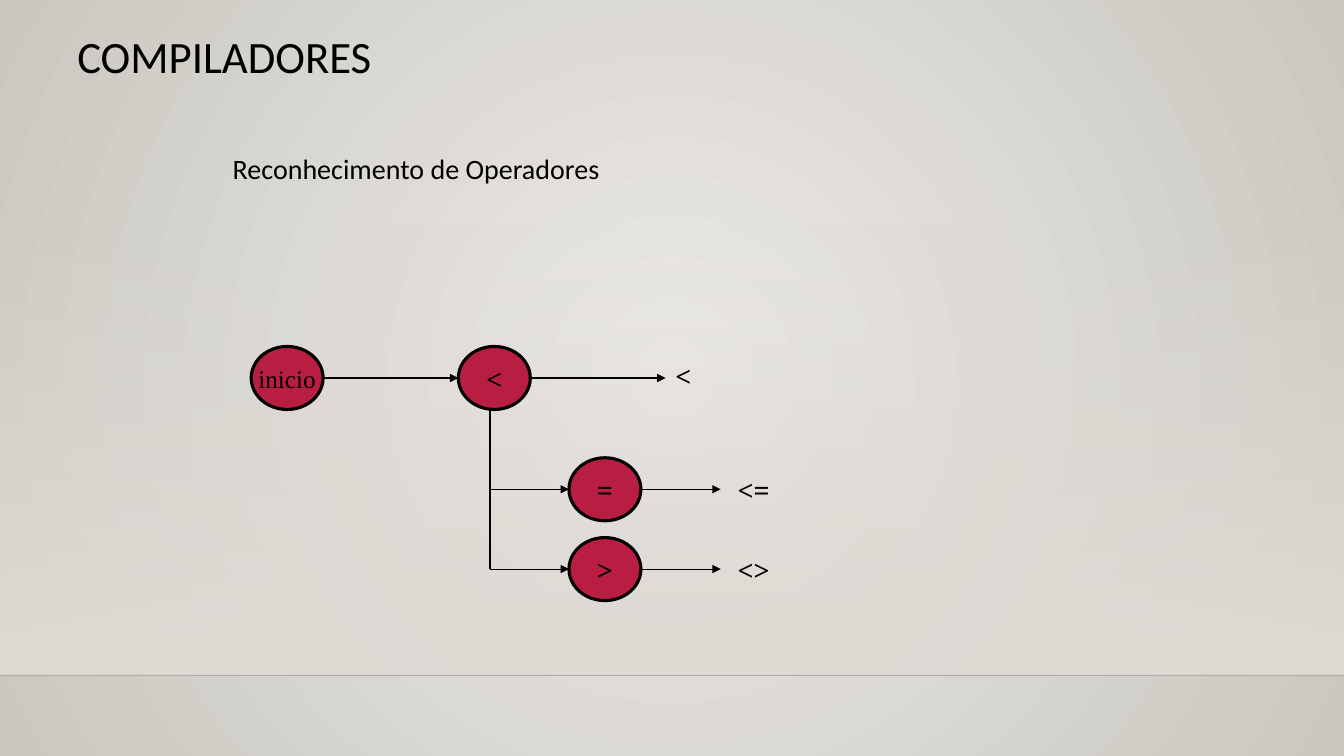
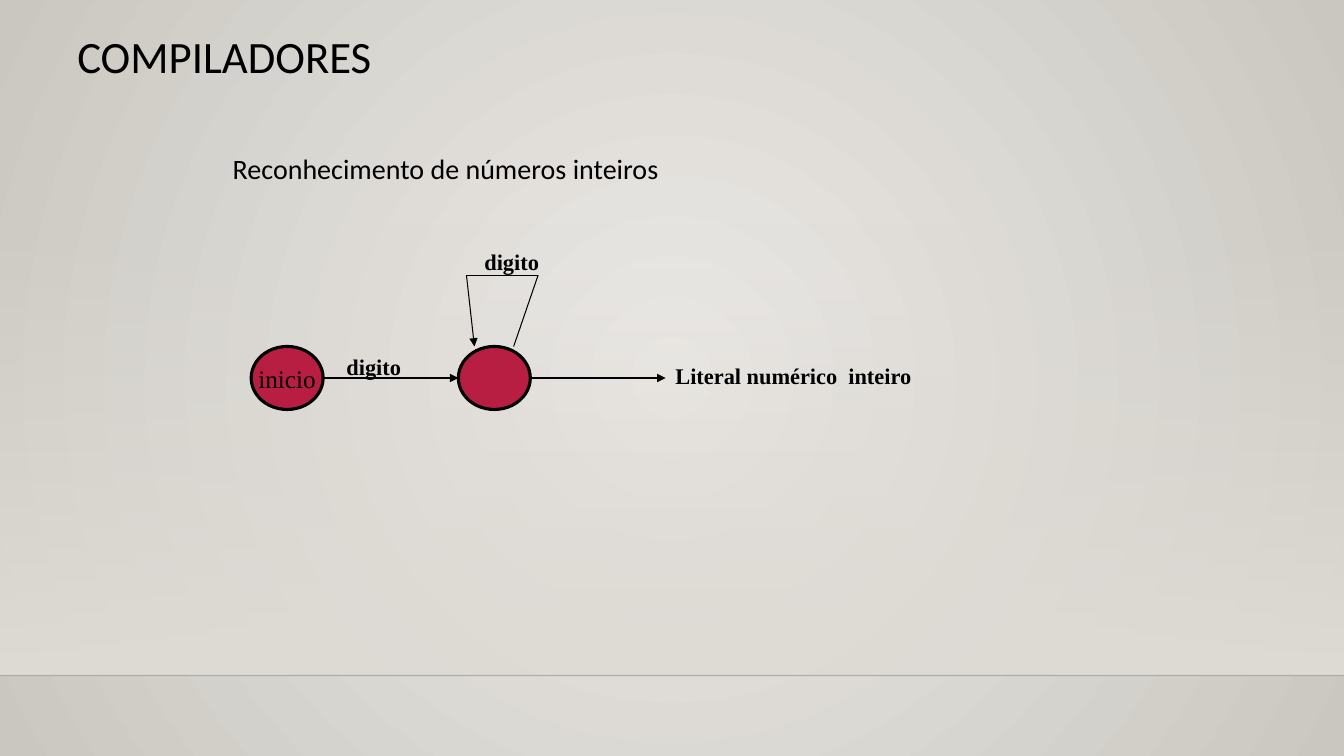
from itertools import pairwise

from lxml import etree
from pptx import Presentation
from pptx.dml.color import RGBColor
from pptx.enum import shapes, text
from pptx.oxml import ns
from pptx.util import Pt

HUE = {
    "ink": "000000",
    "node": "B71E42",
    "core": "ECEAE7",
    "edge": "CAC7C1",
    "band": "DFDBD5",
    "rule": "000001",
}
SANS, SERIF = "Calibri", "Times New Roman"
WIDE, HIGH = 960, 540
FLOOR = 482.5            # lower edge of the band
ORIGIN = (179.4, 247.5)  # corner of each diagram
NODE_W, NODE_H = 51.4, 45
MID = NODE_H / 2
STEP = 148               # from one node to the next
OUT = 2 * STEP           # where the main row's result stands


def rgb(name):
    return RGBColor.from_string(HUE[name])


def sub(node, tag, **attrs):
    return etree.SubElement(node, ns.qn(tag), attrs)


def blend(fill, *names):
    fill.gradient()
    for stop, name, at in zip(fill.gradient_stops, names, (0, 1)):
        stop.color.rgb = rgb(name)
        stop.position = at


def fade(shape, share):
    """Make the first plain colour of the shape see-through."""
    tint = next(shape.element.iter(ns.qn("a:srgbClr")))
    sub(tint, "a:alpha", val=str(share * 1000))


def style(para, size, font, bold=False):
    para.font.size = Pt(size)
    para.font.name = font
    para.font.bold = bold
    para.font.color.rgb = rgb("ink")


def line(slide, start, end, arrow=False, width=0.75, hue="ink"):
    link = slide.shapes.add_connector(
        shapes.MSO_CONNECTOR.STRAIGHT, *(Pt(v) for v in (*start, *end)))
    link.line.width = Pt(width)
    link.line.color.rgb = rgb(hue)
    if arrow:
        sub(link.line._get_or_add_ln(), "a:tailEnd", type="triangle")
    sub(link.element.spPr, "a:effectLst")
    return link


def state(slide, x, y, label="", size=20, bold=True):
    node = slide.shapes.add_shape(
        shapes.MSO_SHAPE.OVAL, Pt(x), Pt(y), Pt(NODE_W), Pt(NODE_H))
    node.shadow.inherit = False
    node.fill.solid()
    node.fill.fore_color.rgb = rgb("node")
    node.line.color.rgb = rgb("ink")
    node.line.width = Pt(2.25)
    if label:
        frame = node.text_frame
        frame.word_wrap = False
        frame.vertical_anchor = text.MSO_ANCHOR.MIDDLE
        para = frame.paragraphs[0]
        para.text = label
        para.alignment = text.PP_ALIGN.CENTER
        style(para, size, SERIF, bold)


def note(slide, x, y, words, size, width):
    box = slide.shapes.add_textbox(Pt(x), Pt(y), Pt(width), Pt(size * 1.2 + 7.2))
    frame = box.text_frame
    frame.word_wrap = False
    frame.auto_size = text.MSO_AUTO_SIZE.SHAPE_TO_FIT_TEXT
    frame.text = words
    style(frame.paragraphs[0], size, SERIF, True)


def backdrop(layout, slide):
    """Move the shared background, band and rule into the layout."""
    blend(layout.background.fill, "core", "edge")
    grad = next(layout.element.iter(ns.qn("a:gradFill")))
    grad.remove(grad.find(ns.qn("a:lin")))
    ring = sub(grad, "a:path", **{"path": "circle"})
    sub(ring, "a:fillToRect", l="50000", t="50000", r="50000", b="50000")

    band = slide.shapes.add_shape(
        shapes.MSO_SHAPE.RECTANGLE, 0, Pt(159), Pt(WIDE), Pt(FLOOR - 159))
    band.shadow.inherit = False
    band.line.fill.background()
    blend(band.fill, "band", "band")
    band.fill.gradient_angle = 270
    fade(band, 0)
    rule = line(slide, (0, FLOOR), (WIDE, FLOOR), width=1, hue="rule")
    fade(rule, 20)
    for at, part in enumerate((band, rule), 2):
        layout.shapes.element.insert(at, part.element)


def fit(holder, box, words, size):
    """Place a placeholder and return its only paragraph."""
    holder.left, holder.top, holder.width, holder.height = map(Pt, box)
    frame = holder.text_frame
    frame.auto_size = text.MSO_AUTO_SIZE.NONE
    frame.vertical_anchor = text.MSO_ANCHOR.TOP
    frame.text = words
    para = frame.paragraphs[0]
    para.alignment = text.PP_ALIGN.LEFT
    style(para, size, SANS)
    return para


def heads(slide, topic):
    para = fit(slide.shapes.title, (48, 21.5, 864, 90), "COMPILADORES", 32)
    para.line_spacing = 0.9
    para = fit(slide.placeholders[1], (150, 100, 659, 425.5), topic, 20)
    para.line_spacing = 1.2
    para.space_before = Pt(10)
    props = para._p.get_or_add_pPr()
    props.set("marL", str(Pt(9)))
    props.set("indent", "0")
    sub(props, "a:buNone")


def row(slide, x, y, label=""):
    """Draw the start node, the next node and the arrows after both."""
    state(slide, x, y, "inicio", 18, False)
    state(slide, x + STEP, y, label)
    for left in (x, x + STEP):
        line(slide, (left + NODE_W, y + MID), (left + STEP, y + MID), True)


def signs(slide, x, y):
    row(slide, x, y, "<")
    note(slide, x + OUT, y + 5, "<", 20, 28)
    trunk, child = x + 170.6, x + 227
    tops = {"=": y + 79.5, ">": y + 136.5}
    line(slide, (trunk, y + NODE_H), (trunk, tops[">"] + MID))
    for sign, top in tops.items():
        mid, right = top + MID, child + NODE_W
        line(slide, (trunk, mid), (child, mid), True)
        state(slide, child, top, sign)
        line(slide, (right, mid), (right + 57, mid), True)
        note(slide, right + 62, top + 7, "<" + sign, 20, 42)


def digits(slide, x, y):
    row(slide, x, y)
    note(slide, x + 61, y + 1.5, "digito", 16, 55)
    left = x + STEP
    loop = [(left + 39.5, y), (left + 57, y - 51),
            (left + 5.8, y - 51), (left + 11.5, y)]
    for start, end in pairwise(loop):
        line(slide, start, end, end == loop[-1])
    note(slide, left + 11.5, y - 74, "digito", 16, 55)
    note(slide, x + OUT, y + 7.5, "Literal numérico  inteiro", 16, 186)


def main():
    deck = Presentation()
    deck.slide_width, deck.slide_height = Pt(WIDE), Pt(HIGH)
    layout = deck.slide_layouts[1]
    topics = {
        "Reconhecimento de Operadores": signs,
        "Reconhecimento de números inteiros": digits,
    }
    for topic, draw in topics.items():
        slide = deck.slides.add_slide(layout)
        heads(slide, topic)
        draw(slide, *ORIGIN)
    backdrop(layout, deck.slides[0])
    deck.save("out.pptx")


if __name__ == "__main__":
    main()
